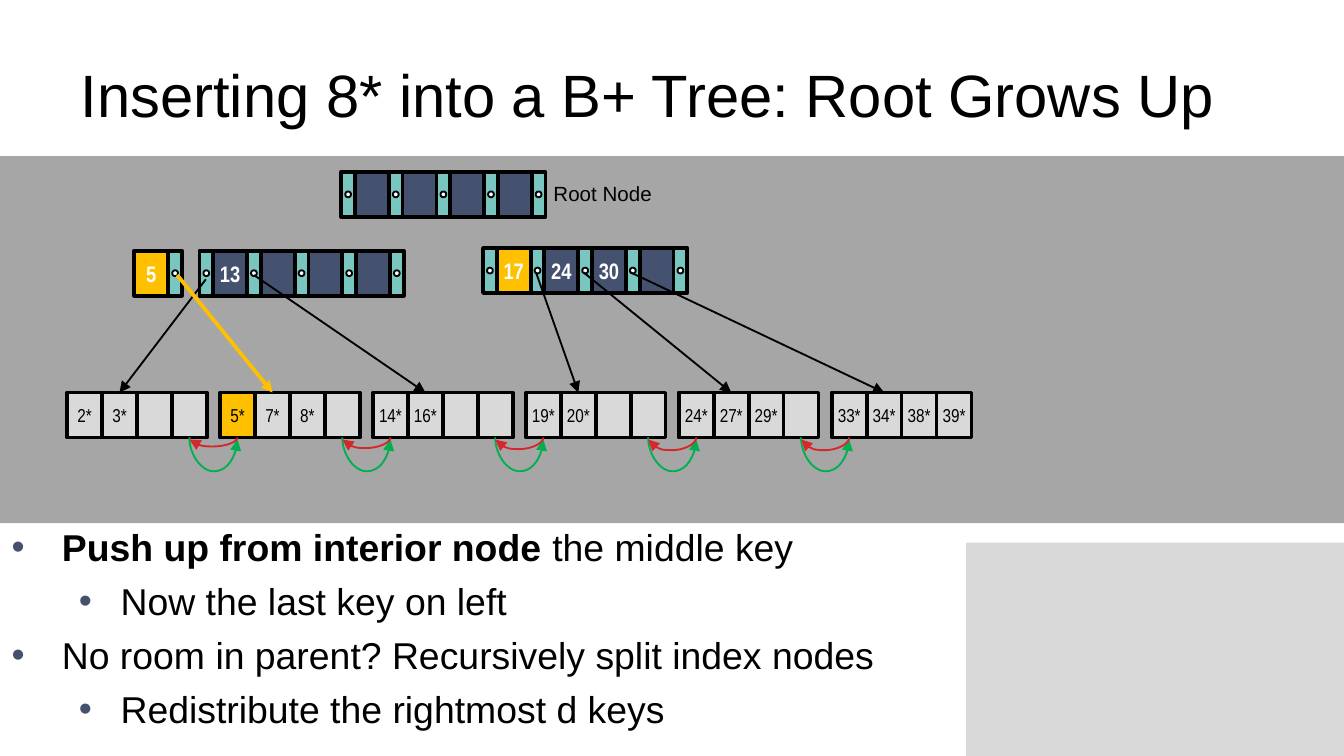
from pptx import Presentation
from pptx.dml.color import RGBColor
from pptx.enum.shapes import MSO_CONNECTOR as CONN, MSO_SHAPE as SHAPE
from pptx.enum.text import MSO_ANCHOR as ANCHOR, MSO_AUTO_SIZE as AUTO, PP_ALIGN as ALIGN
from pptx.oxml.ns import qn
from pptx.util import Cm, Pt
from lxml.etree import SubElement

BLACK, WHITE, NAVY, TEAL = "000000", "FFFFFF", "44516F", "79C6C1"
GOLD, LIGHT, GREY = "FFC000", "D9D9D9", "A6A6A6"
GREEN, RED = "00B050", "D6272A"
KEY_W, PTR_W, LEAF_W, CELL_H, DOT = 0.64, 0.26, 0.66, 0.85, 0.11
LEAF_LEFT, LEAF_PITCH, LEAF_TOP = 1.27, 2.89, 7.42
LEAVES = [
    ["2*", "3*", "", ""],
    ["5*", "7*", "8*", ""],
    ["14*", "16*", "", ""],
    ["19*", "20*", "", ""],
    ["24*", "27*", "29*", ""],
    ["33*", "34*", "38*", "39*"],
]
NEW_KEYS = {"5", "17", "5*"}
CHILD_LINKS = [
    (3.89, 5.28, 0, BLACK, 1),
    (4.8, 5.2, 2, BLACK, 1),
    (3.35, 5.2, 1, GOLD, 2),
    (10.13, 5.15, 3, BLACK, 1),
    (11.03, 5.15, 4, BLACK, 1),
    (11.92, 5.15, 5, BLACK, 1),
]
BACK_DEPTHS = [0.17, 0.2, 0.22, 0.24, 0.24]
NOTES = [
    (0, [("Push up from interior node ", True), ("the middle key", False)]),
    (1, [("Now the last key on left", False)]),
    (0, [("No room in parent? Recursively split index nodes", False)]),
    (1, [("Redistribute the rightmost d keys", False)]),
]


def rgb(color):
    """Return the colour for a hex string."""
    return RGBColor.from_string(color)


def style_run(r, size, color=BLACK, bold=False, font="Arial"):
    """Format one run."""
    r.font.name, r.font.size, r.font.bold = font, Pt(size), bold
    r.font.color.rgb = rgb(color)


def add_box(s, left, top, width, height, fill, line=0, kind=SHAPE.RECTANGLE):
    """Add a filled shape, outlined in black when a line width is given."""
    sp = s.shapes.add_shape(kind, Cm(left), Cm(top), Cm(width), Cm(height))
    sp.shadow.inherit = False
    sp.fill.solid()
    sp.fill.fore_color.rgb = rgb(fill)
    if line:
        sp.line.color.rgb, sp.line.width = rgb(BLACK), Pt(line)
    else:
        sp.line.fill.background()
    return sp


def add_cell(s, left, top, width, text, fill, size, color, bold):
    """Add a node cell with a centred key."""
    sp = add_box(s, left, top, width, CELL_H, GOLD if text in NEW_KEYS else fill, 2)
    if text:
        tf = sp.text_frame
        tf.margin_left = tf.margin_right = 0
        tf.vertical_anchor = ANCHOR.MIDDLE
        tf.text = text
        p = tf.paragraphs[0]
        p.alignment = ALIGN.CENTER
        style_run(p.runs[0], size, color, bold, "Arial Narrow")


def add_pointer(s, left, top):
    """Add a pointer cell with its dot."""
    add_box(s, left, top, PTR_W, CELL_H, TEAL, 2)
    add_box(s, left + (PTR_W - DOT) / 2, top + (CELL_H - DOT) / 2,
            DOT, DOT, WHITE, 1, SHAPE.OVAL)


def add_index_node(s, left, top, keys, leading=True):
    """Add keys, each followed by a pointer, after an optional leading pointer."""
    if leading:
        add_pointer(s, left, top)
        left += PTR_W
    for i, key in enumerate(keys):
        x = left + i * (KEY_W + PTR_W)
        add_cell(s, x, top, KEY_W, key, NAVY, 12, WHITE, True)
        add_pointer(s, x + KEY_W, top)


def leaf_left(i):
    """Return the left edge of a leaf."""
    return LEAF_LEFT + i * LEAF_PITCH


def add_arrow(s, kind, x1, y1, x2, y2, color, width):
    """Add a connector with an arrowhead at its end."""
    c = s.shapes.add_connector(kind, Cm(x1), Cm(y1), Cm(x2), Cm(y2))
    c.line.color.rgb, c.line.width = rgb(color), Pt(width)
    spPr = c._element.spPr
    SubElement(spPr.get_or_add_ln(), qn("a:tailEnd"), type="triangle")
    SubElement(spPr, qn("a:effectLst"))
    return c


def add_sibling_arc(s, x1, x2, depth, color):
    """Add an arc that hangs below the leaves from x1 to x2."""
    thin, span, mid = 0.04, abs(x2 - x1), (x1 + x2) / 2
    y = LEAF_TOP + CELL_H + thin / 2
    c = add_arrow(s, CONN.CURVE, mid - thin / 2, y - span / 2,
                  mid + thin / 2, y + span / 2, color, 1)
    spPr = c._element.spPr
    forward = x2 > x1
    spPr.xfrm.set("rot", str((270 if forward else 90) * 60000))
    if forward:
        spPr.xfrm.set("flipH", "1")
    guides = spPr.find(qn("a:prstGeom")).get_or_add_avLst()
    SubElement(guides, qn("a:gd"), name="adj1", fmla=f"val {round(depth / thin * 100000)}")


def add_title(s, text):
    """Place and format the title."""
    sp = s.shapes.title
    sp.left, sp.top, sp.width, sp.height = Cm(1.27), Cm(0.58), Cm(22.86), Cm(2.38)
    tf = sp.text_frame
    tf.text = text
    tf.vertical_anchor = ANCHOR.MIDDLE
    p = tf.paragraphs[0]
    p.alignment = ALIGN.LEFT
    style_run(p.runs[0], 32)


def add_label(s, text):
    """Add the label beside the root."""
    tf = s.shapes.add_textbox(Cm(10.21), Cm(3.3), Cm(2.41), Cm(0.74)).text_frame
    tf.word_wrap, tf.auto_size = False, AUTO.SHAPE_TO_FIT_TEXT
    tf.text = text
    style_run(tf.paragraphs[0].runs[0], 11)


def add_notes_list(s):
    """Add the bulleted list of two levels."""
    tf = s.shapes.add_textbox(Cm(-0.03), Cm(9.78), Cm(22.86), Cm(8.31)).text_frame
    tf.word_wrap = True
    for i, (level, parts) in enumerate(NOTES):
        p = tf.paragraphs[0] if i == 0 else tf.add_paragraph()
        p.level, p.space_before = level, Pt(5)
        margin, hang = [(0.95, 0.95), (2.06, 0.79)][level]
        pPr = p._p.get_or_add_pPr()
        pPr.set("marL", str(Cm(margin)))
        pPr.set("indent", str(-Cm(hang)))
        SubElement(SubElement(pPr, qn("a:buClr")), qn("a:srgbClr"), val=NAVY)
        SubElement(pPr, qn("a:buFont"), typeface="Arial")
        SubElement(pPr, qn("a:buChar"), char="•")
        for text, bold in parts:
            r = p.add_run()
            r.text = text
            style_run(r, 20, bold=bold)


def add_leaves(s):
    """Add the leaf level and the arcs between neighbours."""
    for i, keys in enumerate(LEAVES):
        for j, key in enumerate(keys):
            add_cell(s, leaf_left(i) + j * LEAF_W, LEAF_TOP, LEAF_W, key, LIGHT, 10, BLACK, False)
    for i, depth in enumerate(BACK_DEPTHS):
        last = leaf_left(i) + 3.5 * LEAF_W
        first = leaf_left(i + 1) + 0.5 * LEAF_W
        add_sibling_arc(s, last, first, 0.64, GREEN)
        add_sibling_arc(s, first, last, depth, RED)


def main():
    """Build the slide."""
    prs = Presentation()
    prs.slide_width, prs.slide_height = Cm(25.4), Cm(14.29)
    s = prs.slides.add_slide(prs.slide_layouts[5])
    add_box(s, 18.26, 10.26, 7.14, 4.03, LIGHT)
    add_box(s, 0, 2.95, 25.4, 6.94, GREY)
    add_title(s, "Inserting 8* into a B+ Tree: Root Grows Up")
    add_index_node(s, 6.45, 3.25, [""] * 4)
    add_label(s, "Root Node")
    add_index_node(s, 2.54, 4.74, ["5"], leading=False)
    add_index_node(s, 3.77, 4.74, ["13", "", "", ""])
    add_index_node(s, 9.13, 4.69, ["17", "24", "30", ""])
    add_leaves(s)
    for x, y, leaf, color, width in CHILD_LINKS:
        add_arrow(s, CONN.STRAIGHT, x, y, leaf_left(leaf) + 0.99, LEAF_TOP, color, width)
    add_notes_list(s)
    prs.save("out.pptx")


if __name__ == "__main__":
    main()
